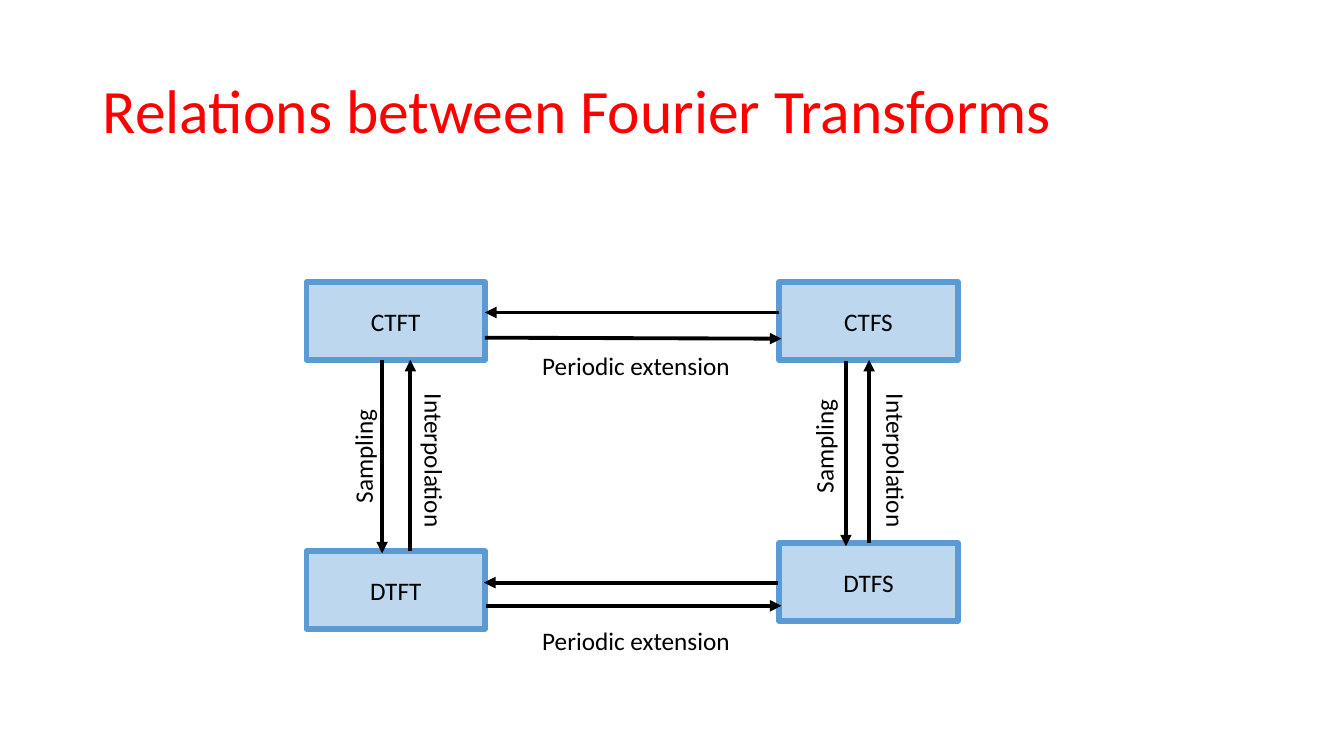
from dataclasses import dataclass

from lxml.etree import SubElement
from pptx import Presentation
from pptx.dml.color import RGBColor
from pptx.enum.shapes import MSO_CONNECTOR, MSO_SHAPE
from pptx.enum.text import MSO_ANCHOR, PP_ALIGN
from pptx.oxml.ns import qn
from pptx.slide import Slide
from pptx.text.text import TextFrame
from pptx.util import Inches, Pt

BLACK, RED, PALE_BLUE, BLUE = "000000", "FF0000", "BDD7EE", "5B9BD5"
BOX_WIDTH, BOX_HEIGHT = 1.77, 0.77
LABEL_HEIGHT = 0.4
LABEL_WIDTHS = {"Periodic extension": 2.23, "Sampling": 1.24, "Interpolation": 1.6}


@dataclass(frozen=True)
class TransformBox:
    name: str
    left: float
    top: float


@dataclass(frozen=True)
class Arrow:
    start: tuple[float, float]
    end: tuple[float, float]


@dataclass(frozen=True)
class Label:
    text: str
    left: float
    top: float
    rotation: int = 0


TRANSFORMS = [
    TransformBox("CTFT", 3.04, 2.8),
    TransformBox("CTFS", 7.73, 2.8),
    TransformBox("DTFT", 3.04, 5.47),
    TransformBox("DTFS", 7.73, 5.39),
]
ARROWS = [
    Arrow((4.81, 3.35), (7.75, 3.36)),
    Arrow((7.73, 3.1), (4.81, 3.1)),
    Arrow((4.82, 6.01), (7.75, 6.01)),
    Arrow((7.72, 5.78), (4.8, 5.78)),
    Arrow((3.79, 3.57), (3.79, 5.49)),
    Arrow((4.07, 5.47), (4.07, 3.57)),
    Arrow((8.39, 3.58), (8.39, 5.42)),
    Arrow((8.62, 5.39), (8.62, 3.57)),
]
LABELS = [
    Label("Periodic extension", 5.28, 3.43),
    Label("Periodic extension", 5.28, 6.15),
    Label("Sampling", 2.98, 4.27, 270),
    Label("Sampling", 7.55, 4.17, 270),
    Label("Interpolation", 3.51, 4.41, 90),
    Label("Interpolation", 8.09, 4.41, 90),
]


def color(value: str) -> RGBColor:
    return RGBColor.from_string(value)


def write_text(frame: TextFrame, text: str, size: float, text_color: str,
               align: PP_ALIGN = PP_ALIGN.LEFT) -> None:
    frame.word_wrap = True
    para = frame.paragraphs[0]
    para.alignment = align
    span = para.add_run()
    span.text = text
    for name, value in {"name": "Calibri", "size": Pt(size), "bold": False}.items():
        setattr(span.font, name, value)
    span.font.color.rgb = color(text_color)


def add_title(page: Slide, text: str) -> None:
    title = page.shapes.title
    place = {"left": 0.92, "top": 0.4, "width": 11.5, "height": 1.45}
    for name, value in place.items():
        setattr(title, name, Inches(value))
    write_text(title.text_frame, text, 44, RED)
    title.text_frame.vertical_anchor = MSO_ANCHOR.MIDDLE
    title.text_frame.paragraphs[0].line_spacing = 0.9


def add_transform(page: Slide, transform: TransformBox) -> None:
    box = page.shapes.add_shape(
        MSO_SHAPE.RECTANGLE, Inches(transform.left), Inches(transform.top),
        Inches(BOX_WIDTH), Inches(BOX_HEIGHT))
    box.shadow.inherit = False
    box.fill.solid()
    box.fill.fore_color.rgb = color(PALE_BLUE)
    box.line.color.rgb = color(BLUE)
    box.line.width = Pt(4.25)
    box.text_frame.vertical_anchor = MSO_ANCHOR.MIDDLE
    write_text(box.text_frame, transform.name, 18, BLACK, PP_ALIGN.CENTER)


def add_arrow(page: Slide, arrow: Arrow) -> None:
    points = [Inches(value) for value in (*arrow.start, *arrow.end)]
    connector = page.shapes.add_connector(MSO_CONNECTOR.STRAIGHT, *points)
    connector.line.color.rgb = color(BLACK)
    connector.line.width = Pt(2.75)
    SubElement(connector.line._get_or_add_ln(), qn("a:tailEnd"), type="triangle")
    SubElement(connector._element.spPr, qn("a:effectLst"))


def add_label(page: Slide, label: Label) -> None:
    box = page.shapes.add_textbox(
        Inches(label.left), Inches(label.top),
        Inches(LABEL_WIDTHS[label.text]), Inches(LABEL_HEIGHT))
    box.rotation = label.rotation
    write_text(box.text_frame, label.text, 18, BLACK)


def main() -> None:
    deck = Presentation()
    deck.slide_width, deck.slide_height = Inches(13.33), Inches(7.5)
    page = deck.slides.add_slide(deck.slide_layouts.get_by_name("Title Only"))
    add_title(page, "Relations between Fourier Transforms")
    for transform in TRANSFORMS:
        add_transform(page, transform)
    for arrow in ARROWS:
        add_arrow(page, arrow)
    for label in LABELS:
        add_label(page, label)
    deck.save("out.pptx")


if __name__ == "__main__":
    main()
